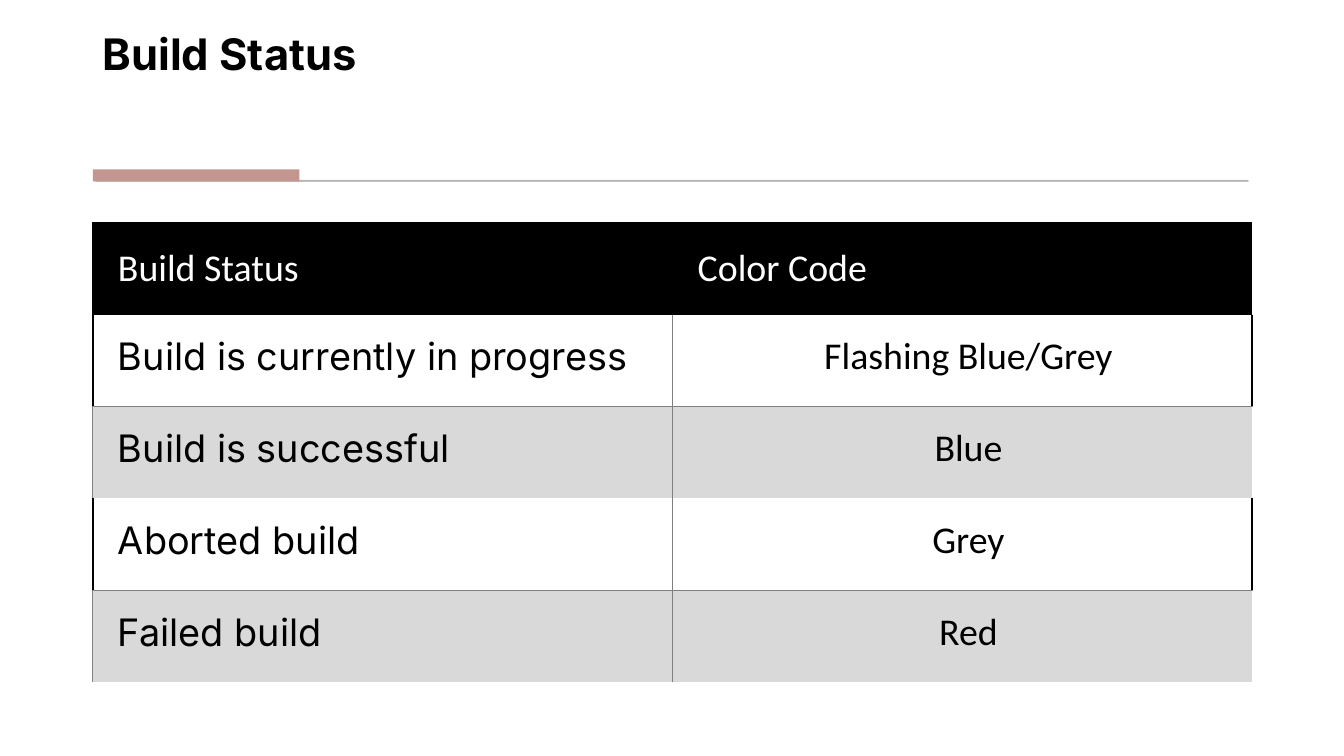
"""Builds the Build Status slide with its colour code table."""
from dataclasses import dataclass

import pptx
import pptx.dml.color
import pptx.enum.shapes
import pptx.enum.text
import pptx.oxml.ns
import pptx.util
from lxml import etree

Inches = pptx.util.Inches
Pt = pptx.util.Pt
PP_ALIGN = pptx.enum.text.PP_ALIGN
MSO_ANCHOR = pptx.enum.text.MSO_ANCHOR
qn = pptx.oxml.ns.qn


@dataclass(frozen=True)
class Theme:
    black: str = "000000"
    white: str = "FFFFFF"
    band: str = "D9D9D9"
    grid: str = "808080"
    rule: str = "595959"
    accent: str = "C39790"
    head_font: str = "Inter"
    body_font: str = "Calibri"
    title_size: int = 31
    table_size: int = 27


def rgb(color):
    return pptx.dml.color.RGBColor.from_string(color)


class SlideBuilder:
    def __init__(self, prs, theme):
        self.theme = theme
        self.slide = prs.slides.add_slide(prs.slide_layouts[5])
        fill = self.slide.background.fill
        fill.solid()
        fill.fore_color.rgb = rgb(theme.white)

    def style(self, p, font, size, color, bold=False, align=PP_ALIGN.LEFT):
        p.alignment = align
        p.font.name = font
        p.font.size = Pt(size)
        p.font.bold = bold
        p.font.color.rgb = rgb(color)

    def title(self, text, left, top, width, height):
        sp = self.slide.shapes.title
        sp.left, sp.top = Inches(left), Inches(top)
        sp.width, sp.height = Inches(width), Inches(height)
        tf = sp.text_frame
        tf.text = text
        tf.auto_size = pptx.enum.text.MSO_AUTO_SIZE.NONE
        tf.vertical_anchor = MSO_ANCHOR.TOP
        p = tf.paragraphs[0]
        p.line_spacing = 0.9
        self.style(p, self.theme.head_font, self.theme.title_size, self.theme.black, bold=True)

    def bar(self, color, left, top, width, height, opacity=100, outline=None):
        sp = self.slide.shapes.add_shape(
            pptx.enum.shapes.MSO_SHAPE.RECTANGLE,
            Inches(left), Inches(top), Inches(width), Inches(height))
        sp.shadow.inherit = False
        sp.fill.solid()
        sp.fill.fore_color.rgb = rgb(color)
        if outline:
            sp.line.color.rgb = rgb(color)
            sp.line.width = Pt(outline)
        else:
            sp.line.fill.background()
        if opacity < 100:
            for clr in sp._element.spPr.iter(qn("a:srgbClr")):
                etree.SubElement(clr, qn("a:alpha"), val=str(opacity * 1000))

    def borders(self, cell, edges):
        tcPr = cell._tc.get_or_add_tcPr()
        for side in "LRTB":
            color, width = edges.get(side, (None, 0))
            ln = etree.SubElement(tcPr, qn(f"a:ln{side}"), w=str(int(Pt(width))))
            if color:
                fill = etree.SubElement(ln, qn("a:solidFill"))
                etree.SubElement(fill, qn("a:srgbClr"), val=color)
            else:
                etree.SubElement(ln, qn("a:noFill"))

    def edges(self, row, col):
        thick, thin = (self.theme.black, 1.5), (self.theme.grid, 0.5)
        if row == 0:
            return {"T": thick, "L": thick} if col == 0 else {"T": thick}
        banded = row % 2 == 0
        edges = {"T": thin} if banded else {"B": thin}
        if col == 0:
            edges.update(L=thin if banded else thick, R=thin)
        else:
            edges["L"] = thin
            if not banded:
                edges["R"] = thick
        return edges

    def cell(self, cell, text, row, col):
        th = self.theme
        head = row == 0
        cell.text = text
        cell.margin_left, cell.margin_right = Inches(0.25), Inches(0.13)
        cell.margin_top = cell.margin_bottom = Inches(0.19)
        cell.vertical_anchor = MSO_ANCHOR.MIDDLE if head else MSO_ANCHOR.TOP
        self.borders(cell, self.edges(row, col))
        cell.fill.solid()
        cell.fill.fore_color.rgb = rgb(th.black if head else th.white if row % 2 else th.band)
        self.style(
            cell.text_frame.paragraphs[0],
            th.body_font if head or col else th.head_font,
            th.table_size,
            th.white if head else th.black,
            align=PP_ALIGN.CENTER if col and not head else PP_ALIGN.LEFT)

    def table(self, rows, left, top, width, height):
        table = self.slide.shapes.add_table(
            len(rows), len(rows[0]),
            Inches(left), Inches(top), Inches(width), Inches(height)).table
        table.horz_banding = False
        for r, row in enumerate(rows):
            for c, text in enumerate(row):
                self.cell(table.cell(r, c), text, r, c)


def main():
    prs = pptx.Presentation()
    prs.slide_width, prs.slide_height = Inches(13.33), Inches(7.5)
    s = SlideBuilder(prs, Theme())
    s.title("Build Status", 0.92, 0.28, 11.49, 1.11)
    s.bar(s.theme.rule, 0.95, 1.79, 11.43, 0.01, opacity=30, outline=0.75)
    s.bar(s.theme.accent, 0.92, 1.68, 2.05, 0.12)
    s.table([
        ("Build Status", "Color Code"),
        ("Build is currently in progress", "Flashing Blue/Grey"),
        ("Build is successful", "Blue"),
        ("Aborted build", "Grey"),
        ("Failed build", "Red"),
    ], 0.92, 2.21, 11.5, 4.56)
    prs.save("out.pptx")


if __name__ == "__main__":
    main()
